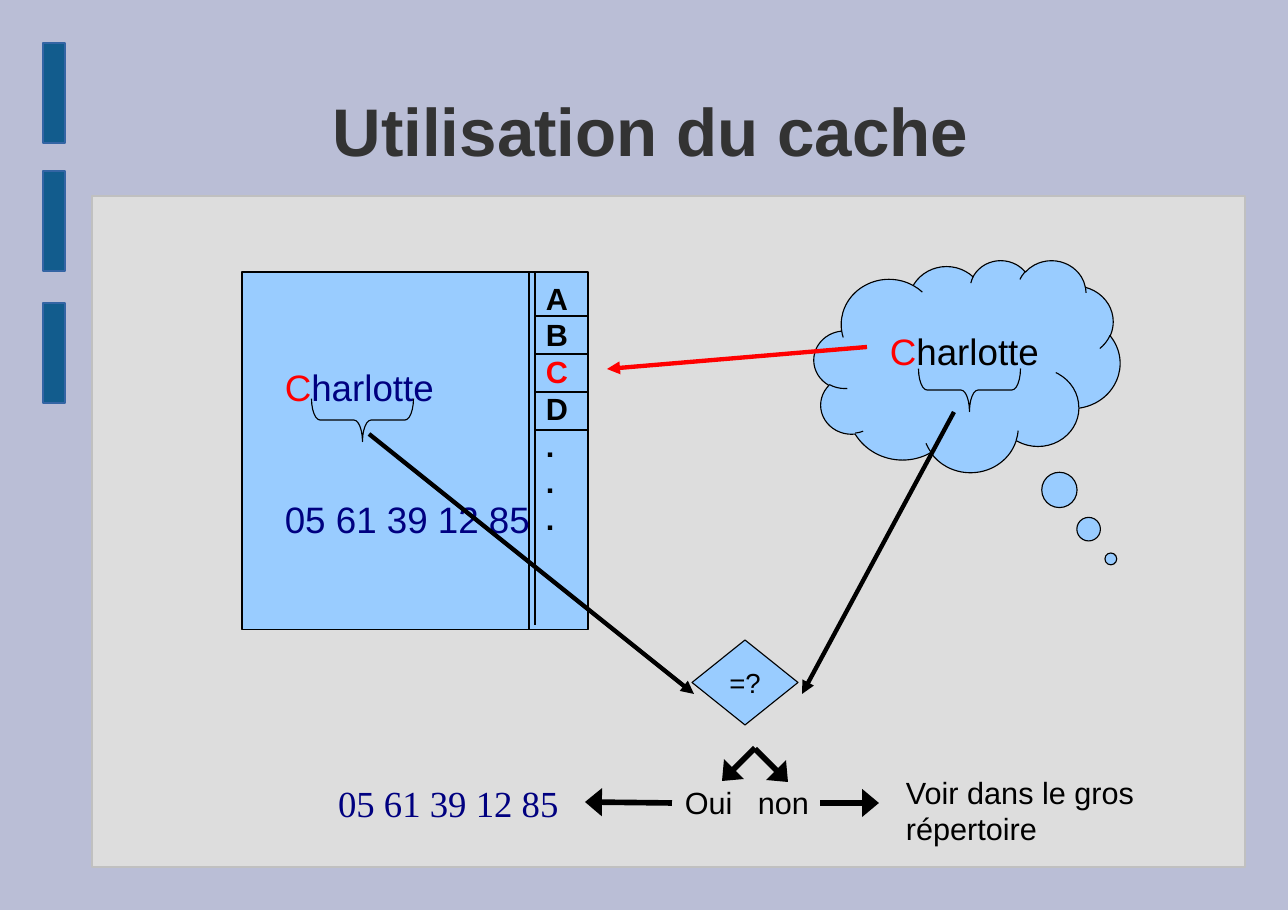
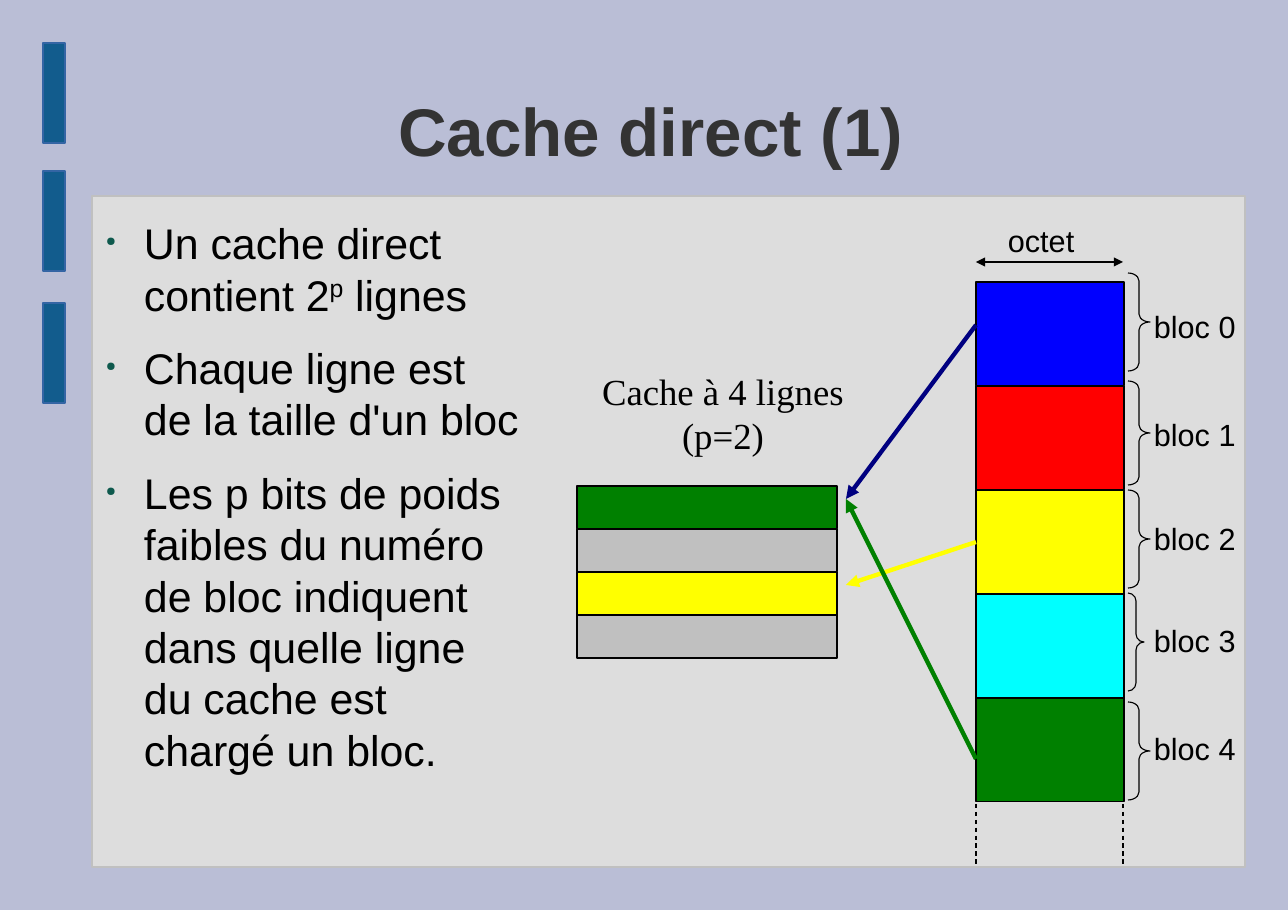
"""Build two French slides that explain how a direct cache works."""
from dataclasses import dataclass
from typing import Optional

import lxml.etree
import pptx
import pptx.dml.color
import pptx.enum.dml
import pptx.enum.shapes
import pptx.enum.text
import pptx.oxml.ns
import pptx.util

EMU_PER_PX = 8298
SLIDE_SIZE = (1288, 910)
BLACK, RED, NAVY, GREEN, YELLOW = "000000", "FF0000", "000080", "008000", "FFFF00"
LIGHT_BLUE, SILVER, BACKGROUND = "99CCFF", "C0C0C0", "BABED6"
PANEL, BAND, BAND_EDGE, TITLE_GREY, BULLET = "DDDDDD", "125C8D", "3465A4", "333333", "0E594D"
BAND_TOPS = (43, 171, 303)
SHAPES = pptx.enum.shapes.MSO_SHAPE
ALIGN = pptx.enum.text.PP_ALIGN


@dataclass(frozen=True)
class Box:
    left: int
    top: int
    width: int
    height: int


@dataclass(frozen=True)
class TextStyle:
    size: int
    color: str = BLACK
    font: str = "Arial"
    bold: bool = False
    align: Optional[pptx.enum.text.PP_ALIGN] = None


@dataclass(frozen=True)
class Line:
    start: tuple[int, int]
    end: tuple[int, int]
    color: str = BLACK
    width: float = 0.75
    head: bool = False
    tail: bool = False
    arrow_width: str = "med"
    dashed: bool = False


@dataclass(frozen=True)
class Block:
    color: str
    brace: Box
    label_top: int


TITLE = TextStyle(44, TITLE_GREY, bold=True, align=ALIGN.CENTER)
LABEL = TextStyle(20)
NAME = TextStyle(24)
ENTRY = TextStyle(24, NAVY)

BLOCKS = (
    Block("0000FF", Box(1128, 273, 22, 98), 302),
    Block(RED, Box(1128, 381, 22, 104), 410),
    Block(YELLOW, Box(1128, 490, 22, 98), 514),
    Block("00FFFF", Box(1128, 593, 16, 98), 616),
    Block(GREEN, Box(1128, 702, 22, 98), 724),
)


def px(value: int) -> int:
    return pptx.util.Emu(value * EMU_PER_PX)


def rgb(color: str) -> pptx.dml.color.RGBColor:
    return pptx.dml.color.RGBColor.from_string(color)


def place(box: Box) -> tuple[int, int, int, int]:
    return px(box.left), px(box.top), px(box.width), px(box.height)


def add_xml(parent, tag: str, **attributes: str) -> None:
    lxml.etree.SubElement(parent, pptx.oxml.ns.qn(tag), attributes)


def clear_insets(text_frame) -> None:
    text_frame.margin_left = text_frame.margin_right = 0
    text_frame.margin_top = text_frame.margin_bottom = 0


def format_text(text_frame, style: TextStyle) -> None:
    for paragraph in text_frame.paragraphs:
        paragraph.alignment = style.align
        for run in paragraph.runs:
            run.font.size = pptx.util.Pt(style.size)
            run.font.name = style.font
            run.font.bold = style.bold
            run.font.color.rgb = rgb(style.color)


def add_text(slide, box: Box, text: str, style: TextStyle, wrap: bool = False):
    text_frame = slide.shapes.add_textbox(*place(box)).text_frame
    text_frame.word_wrap = wrap
    if wrap:
        clear_insets(text_frame)
    text_frame.text = text
    format_text(text_frame, style)
    return text_frame


def add_shape(slide, kind, box: Box, fill: Optional[str],
              edge: str = BLACK, width: float = 0.75):
    shape = slide.shapes.add_shape(kind, *place(box))
    shape.shadow.inherit = False
    if fill is None:
        shape.fill.background()
    else:
        shape.fill.solid()
        shape.fill.fore_color.rgb = rgb(fill)
    shape.line.color.rgb = rgb(edge)
    shape.line.width = pptx.util.Pt(width)
    return shape


def add_brace(slide, kind, box: Box, corner: float):
    brace = add_shape(slide, kind, box, None)
    brace.adjustments[0] = corner
    return brace


def add_line(slide, line: Line):
    connector = slide.shapes.add_connector(
        pptx.enum.shapes.MSO_CONNECTOR.STRAIGHT,
        *(px(value) for value in line.start + line.end))
    connector.line.color.rgb = rgb(line.color)
    connector.line.width = pptx.util.Pt(line.width)
    if line.dashed:
        connector.line.dash_style = pptx.enum.dml.MSO_LINE.DASH
    properties = connector.element.spPr
    outline = properties.get_or_add_ln()
    for tag, wanted in (("a:headEnd", line.head), ("a:tailEnd", line.tail)):
        if wanted:
            add_xml(outline, tag, type="triangle", w=line.arrow_width, len="med")
    add_xml(properties, "a:effectLst")
    return connector


def redden_initial(paragraph) -> None:
    first = paragraph.runs[0]
    rest = paragraph.add_run()
    rest.text = first.text[1:]
    rest.font.size, rest.font.name = first.font.size, first.font.name
    rest.font.color.rgb = first.font.color.rgb
    first.text = first.text[0]
    first.font.color.rgb = rgb(RED)


def add_title_slide(presentation, title: str):
    slide = presentation.slides.add_slide(presentation.slide_layouts.get_by_name("Title Only"))
    shape = slide.shapes.title
    shape.left, shape.top, shape.width, shape.height = place(Box(87, 65, 1128, 130))
    text_frame = shape.text_frame
    text_frame.text = title
    text_frame.auto_size = pptx.enum.text.MSO_AUTO_SIZE.NONE
    text_frame.vertical_anchor = pptx.enum.text.MSO_ANCHOR.MIDDLE
    clear_insets(text_frame)
    format_text(text_frame, TITLE)
    return slide


def decorate_layout(slide) -> None:
    layout = slide.slide_layout
    layout.background.fill.solid()
    layout.background.fill.fore_color.rgb = rgb(BACKGROUND)
    for placeholder in list(layout.placeholders)[1:]:
        layout.shapes.element.remove(placeholder.element)
    frame = [add_shape(slide, SHAPES.RECTANGLE, Box(92, 196, 1153, 671), PANEL, SILVER, 0)]
    for top in BAND_TOPS:
        frame.append(add_shape(slide, SHAPES.RECTANGLE, Box(43, top, 22, 100),
                               BAND, BAND_EDGE, 0))
    for shape in frame:
        layout.shapes.element.append(shape.element)


def draw_directory(slide) -> None:
    add_shape(slide, SHAPES.RECTANGLE, Box(242, 272, 346, 358), LIGHT_BLUE)
    add_line(slide, Line((529, 630), (529, 272)))
    letters = add_text(slide, Box(535, 274, 50, 250), "A\nB\nC\nD\n.\n.\n.",
                       TextStyle(20, bold=True))
    letters.paragraphs[2].runs[0].font.color.rgb = rgb(RED)
    entry = add_text(slide, Box(274, 359, 274, 175), "Charlotte\n05 61 39 12 85", ENTRY)
    redden_initial(entry.paragraphs[0])
    entry.paragraphs[1].space_before = pptx.util.Pt(58)
    for row in range(4):
        y = 316 + 38 * row
        add_line(slide, Line((535, y), (588, y)))
    add_line(slide, Line((535, 272), (535, 625)))


def draw_usage(slide) -> None:
    draw_directory(slide)
    cloud = add_shape(slide, SHAPES.CLOUD_CALLOUT, Box(814, 260, 306, 212), LIGHT_BLUE)
    cloud.adjustments[0], cloud.adjustments[1] = 0.47, 0.91
    thought = add_text(slide, Box(879, 323, 180, 52), "Charlotte", NAME)
    redden_initial(thought.paragraphs[0])
    for left, top in ((948, 339), (341, 369)):
        brace = add_brace(slide, SHAPES.LEFT_BRACE, Box(left, top, 43, 102), 0.2)
        brace.rotation = 270

    decision = add_shape(slide, SHAPES.FLOWCHART_DECISION, Box(692, 640, 106, 85), LIGHT_BLUE)
    decision.text_frame.word_wrap = False
    decision.text_frame.vertical_anchor = pptx.enum.text.MSO_ANCHOR.MIDDLE
    decision.text_frame.text = "=?"
    format_text(decision.text_frame, TextStyle(18, align=ALIGN.CENTER))

    for start, end, color in (((867, 347), (607, 369), RED),
                              ((369, 434), (694, 694), BLACK),
                              ((954, 412), (802, 694), BLACK)):
        add_line(slide, Line(start, end, color, 2.83, tail=True))
    for start, end in (((755, 748), (722, 781)), ((755, 749), (788, 782)),
                       ((820, 803), (879, 803)), ((672, 803), (585, 802))):
        add_line(slide, Line(start, end, width=3.69, tail=True, arrow_width="lg"))

    add_text(slide, Box(674, 778, 73, 45), "Oui", LABEL)
    add_text(slide, Box(747, 778, 80, 45), "non", LABEL)
    add_text(slide, Box(895, 768, 260, 79), "Voir dans le gros\nrépertoire", LABEL)
    add_text(slide, Box(338, 781, 260, 51), "05 61 39 12 85",
             TextStyle(24, NAVY, "Times New Roman"), wrap=True)


def draw_bullets(slide) -> None:
    body = add_text(slide, Box(92, 217, 430, 586),
                    "Un cache direct contient 2\n"
                    "Chaque ligne est de la taille d'un bloc\n"
                    "Les p bits de poids faibles du numéro de bloc indiquent "
                    "dans quelle ligne du cache est chargé un bloc.",
                    TextStyle(28), wrap=True)
    for text in ("p", " lignes"):
        body.paragraphs[0].add_run().text = text
    format_text(body, TextStyle(28))
    body.paragraphs[0].runs[1].font._element.set("baseline", "33000")
    for paragraph in body.paragraphs:
        paragraph.space_after = pptx.util.Pt(14.2)
        properties = paragraph._p.get_or_add_pPr()
        properties.set("marL", str(px(52)))
        properties.set("indent", str(px(-38)))
        add_xml(properties, "a:buClr")
        add_xml(properties[-1], "a:srgbClr", val=BULLET)
        add_xml(properties, "a:buSzPct", val="30000")
        add_xml(properties, "a:buChar", char="●")


def draw_direct_cache(slide) -> None:
    draw_bullets(slide)
    add_line(slide, Line((976, 262), (1123, 262), head=True, tail=True))
    add_text(slide, Box(997, 216, 104, 45), "octet", LABEL)
    memory = []
    for number, block in enumerate(BLOCKS):
        memory.append(add_shape(slide, SHAPES.RECTANGLE, Box(976, 282 + 104 * number, 148, 104),
                                block.color, width=0))
        add_brace(slide, SHAPES.RIGHT_BRACE, block.brace, round(8 / block.brace.width, 2))
        add_text(slide, Box(1143, block.label_top, 112, 45), f"bloc {number}", LABEL)
    for x in (976, 1123):
        add_line(slide, Line((x, 804), (x, 864), dashed=True))

    add_text(slide, Box(582, 369, 282, 141), "Cache à 4 lignes\n(p=2)",
             TextStyle(24, font="Times New Roman", align=ALIGN.CENTER), wrap=True)
    for row, color in enumerate((GREEN, SILVER, YELLOW, SILVER)):
        add_shape(slide, SHAPES.RECTANGLE, Box(577, 486 + 43 * row, 260, 43), color, width=0)
    add_line(slide, Line((976, 325), (846, 499), NAVY, 2.83, tail=True))
    yellow_arrow = add_line(slide, Line((976, 542), (846, 585), YELLOW, 2.83, tail=True))
    yellow_arrow.begin_connect(memory[2], 1)
    add_line(slide, Line((976, 759), (846, 499), GREEN, 2.83, tail=True))


def main() -> None:
    presentation = pptx.Presentation()
    presentation.slide_width, presentation.slide_height = map(px, SLIDE_SIZE)
    usage = add_title_slide(presentation, "Utilisation du cache")
    decorate_layout(usage)
    draw_usage(usage)
    draw_direct_cache(add_title_slide(presentation, "Cache direct (1)"))
    presentation.save("out.pptx")


if __name__ == "__main__":
    main()
